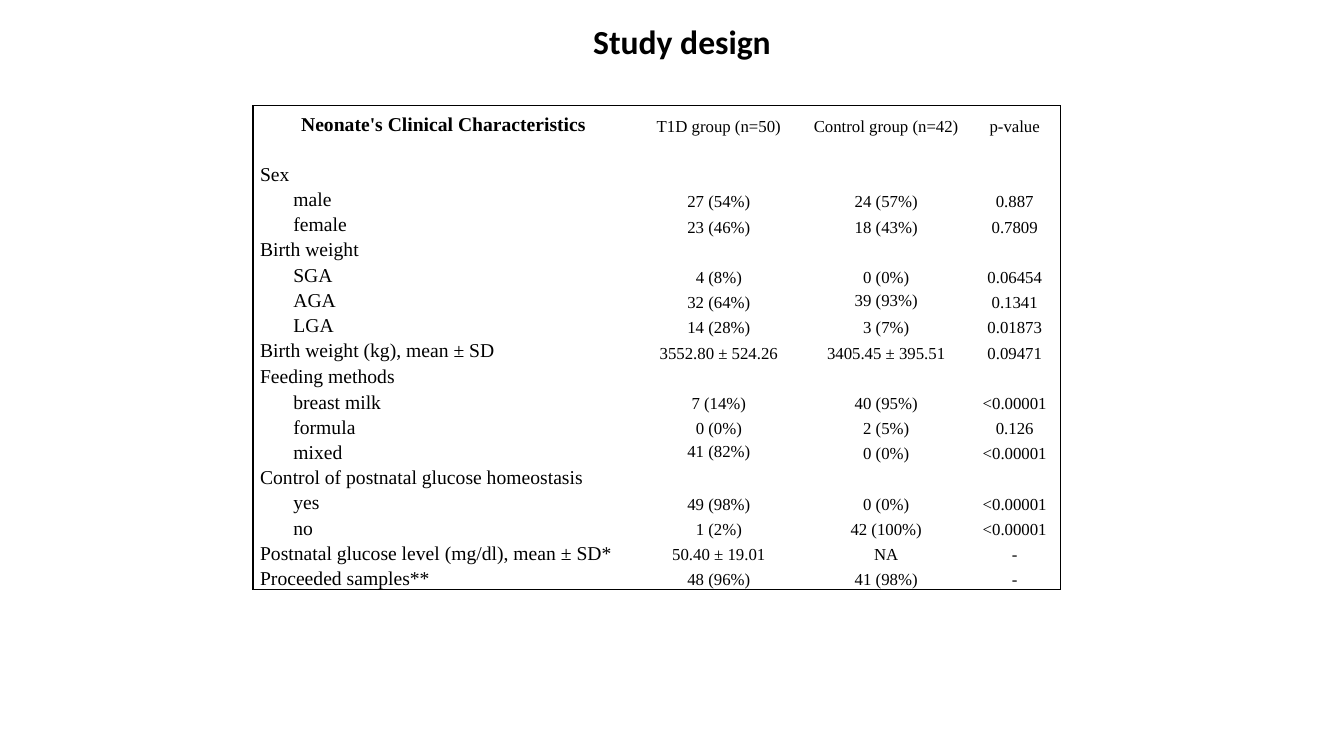
from lxml import etree
from pptx import Presentation
from pptx import util as u
from pptx.dml.color import RGBColor
from pptx.enum import text
from pptx.oxml.ns import qn

BLACK = "000000"
NO_GRID_STYLE = "{2D5ABB26-0587-4C30-8999-92F81FD0307C}"
COLUMN_WIDTHS = [3.78, 1.68, 1.64, 0.91]
HEADER_HEIGHT, ROW_HEIGHT = 0.3, 0.25
INDENT = 0.33

# Each row: indented or not, then its cells
CHARACTERISTICS = [
    (False, "Neonate's Clinical Characteristics", "T1D group (n=50)", "Control group (n=42)", "p-value"),
    (False, "", "", "", ""),
    (False, "Sex", "", "", ""),
    (True, "male", "27 (54%)", "24 (57%)", "0.887"),
    (True, "female", "23 (46%)", "18 (43%)", "0.7809"),
    (False, "Birth weight", "", "", ""),
    (True, "SGA", "4 (8%)", "0 (0%)", "0.06454"),
    (True, "AGA", "32 (64%)", "39 (93%)", "0.1341"),
    (True, "LGA", "14 (28%)", "3 (7%)", "0.01873"),
    (False, "Birth weight (kg), mean ± SD", "3552.80 ± 524.26", "3405.45 ± 395.51", "0.09471"),
    (False, "Feeding methods", "", "", ""),
    (True, "breast milk", "7 (14%)", "40 (95%)", "<0.00001"),
    (True, "formula", "0 (0%)", "2 (5%)", "0.126"),
    (True, "mixed", "41 (82%)", "0 (0%)", "<0.00001"),
    (False, "Control of postnatal glucose homeostasis", "", "", ""),
    (True, "yes", "49 (98%)", "0 (0%)", "<0.00001"),
    (True, "no", "1 (2%)", "42 (100%)", "<0.00001"),
    (False, "Postnatal glucose level (mg/dl), mean ± SD*", "50.40 ± 19.01", "NA", "-"),
    (False, "Proceeded samples**", "48 (96%)", "41 (98%)", "-"),
]
# Cells (row, column) centred vertically; all others sit at the bottom
MIDDLE_CELLS = {(row, 0) for row in range(2, 10)} | {(7, 2), (13, 1)}


def color(hex_string):
    return RGBColor.from_string(hex_string)


def set_attributes(target, values):
    for name, value in values.items():
        setattr(target, name, value)


def write(paragraph, wording, font_name, size, bold=False):
    run = paragraph.add_run()
    run.text = wording
    set_attributes(run.font, {"name": font_name, "size": u.Pt(size), "bold": bold})
    run.font.color.rgb = color(BLACK)


def add_title(slide, left, top, width, height):
    title = slide.shapes.add_textbox(*map(u.Inches, (left, top, width, height)))
    set_attributes(title.text_frame, {"word_wrap": True, "auto_size": text.MSO_AUTO_SIZE.SHAPE_TO_FIT_TEXT})
    heading = title.text_frame.paragraphs[0]
    heading.alignment = text.PP_ALIGN.CENTER
    write(heading, "Study design", "Calibri", 24, True)


def set_border(cell, side):
    line = etree.SubElement(cell._tc.get_or_add_tcPr(), qn(f"a:ln{side}"), w=str(u.Pt(1)))
    fill = etree.SubElement(line, qn("a:solidFill"))
    etree.SubElement(fill, qn("a:srgbClr"), val=BLACK)


def fill_cell(cell, wording, row, column, indented):
    # Only the outer edge of the table is ruled
    edges = {
        "L": column == 0,
        "R": column == len(COLUMN_WIDTHS) - 1,
        "T": row == 0,
        "B": row == len(CHARACTERISTICS) - 1,
    }
    for side, ruled in edges.items():
        if ruled:
            set_border(cell, side)
    cell.fill.background()
    middle = (row, column) in MIDDLE_CELLS
    set_attributes(cell, {
        "margin_left": u.Inches(0.07), "margin_right": u.Inches(0.07),
        "margin_top": 0, "margin_bottom": 0,
        "vertical_anchor": text.MSO_ANCHOR.MIDDLE if middle else text.MSO_ANCHOR.BOTTOM,
    })

    paragraph = cell.text_frame.paragraphs[0]
    if not wording:
        etree.SubElement(paragraph._p, qn("a:endParaRPr"), sz="1200")
        return
    paragraph.line_spacing = 1.07
    if column or row == 0:
        paragraph.alignment = text.PP_ALIGN.CENTER
    elif indented:
        properties = paragraph._p.get_or_add_pPr()
        properties.set("marL", "0")
        properties.set("indent", str(u.Inches(INDENT)))
    write(paragraph, wording, "Times New Roman", 12 if column else 14, row == 0 and column == 0)


def add_characteristics(slide, left, top):
    height = HEADER_HEIGHT + ROW_HEIGHT * (len(CHARACTERISTICS) - 1)
    frame = slide.shapes.add_table(
        len(CHARACTERISTICS), len(COLUMN_WIDTHS),
        *map(u.Inches, (left, top, sum(COLUMN_WIDTHS), height)))
    table = frame.table
    set_attributes(table, {"first_row": False, "horz_banding": False})
    table._tbl.tblPr.find(qn("a:tableStyleId")).text = NO_GRID_STYLE
    for column, width in zip(table.columns, COLUMN_WIDTHS):
        column.width = u.Inches(width)
    for row, (indented, *wordings) in enumerate(CHARACTERISTICS):
        table.rows[row].height = u.Inches(ROW_HEIGHT if row else HEADER_HEIGHT)
        for column, wording in enumerate(wordings):
            fill_cell(table.cell(row, column), wording, row, column, indented)


def main():
    deck = Presentation()
    set_attributes(deck, {"slide_width": u.Inches(13.33), "slide_height": u.Inches(7.5)})
    slide = deck.slides.add_slide(deck.slide_layouts[6])
    add_title(slide, 0.2, 0.16, 13.13, 0.5)
    add_characteristics(slide, 2.51, 1.05)
    deck.save("out.pptx")


if __name__ == "__main__":
    main()
